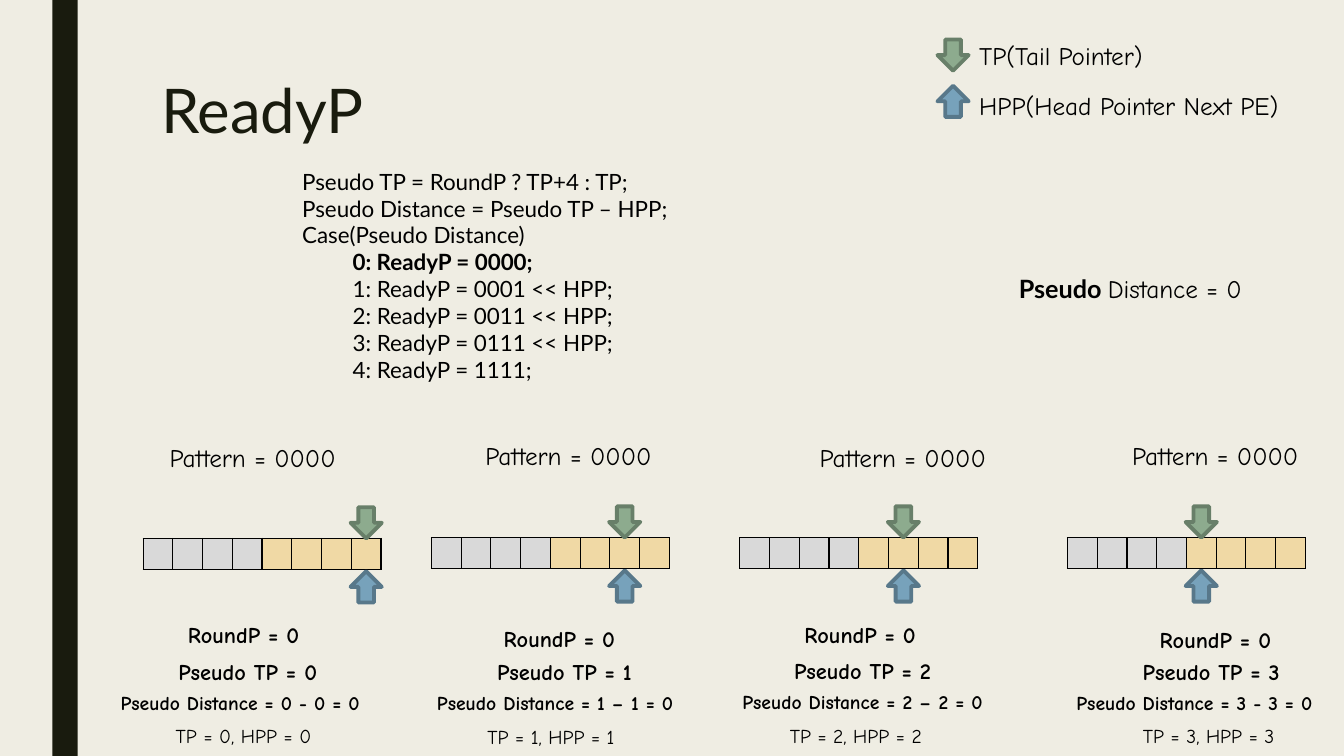
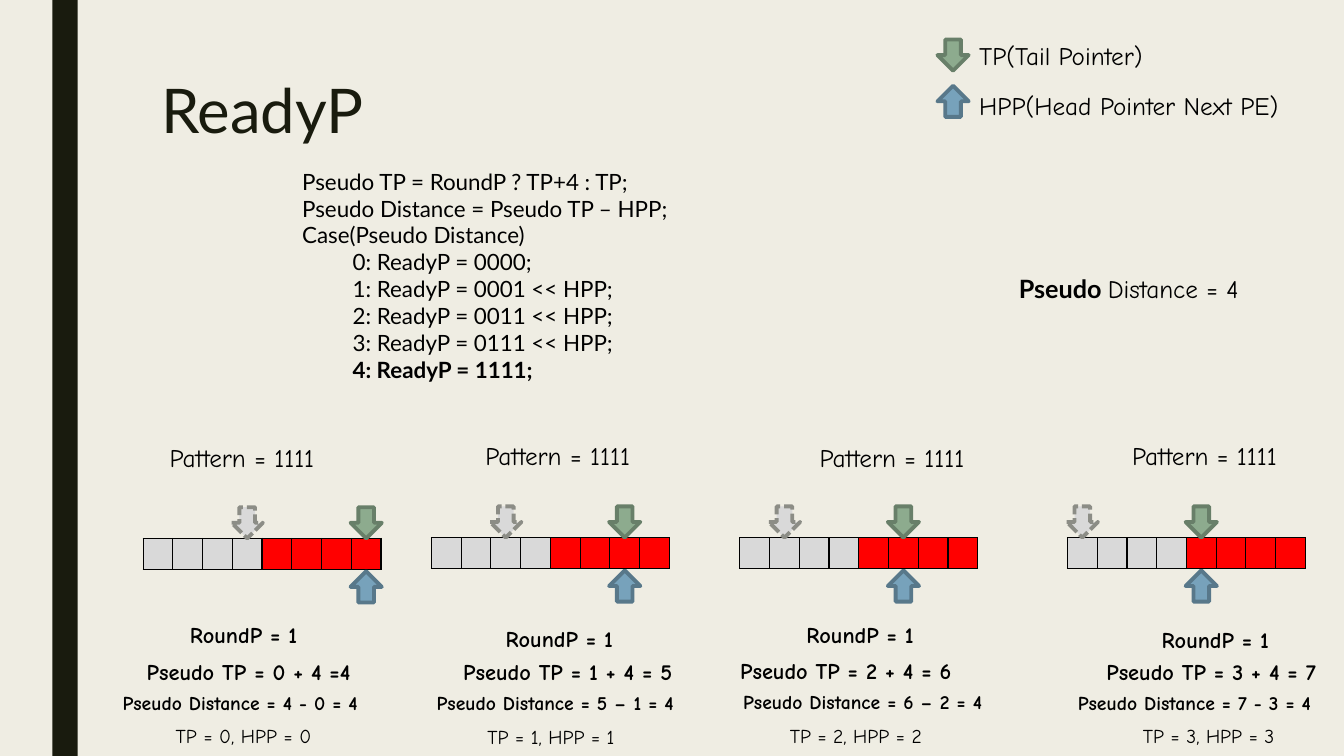
from lxml import etree
from pptx import Presentation
from pptx.dml.color import RGBColor
from pptx.enum.dml import MSO_LINE
from pptx.enum.shapes import MSO_SHAPE
from pptx.enum.text import PP_ALIGN
from pptx.oxml.ns import qn
from pptx.util import Inches, Pt

RECT = MSO_SHAPE.RECTANGLE
ARROW = MSO_SHAPE.DOWN_ARROW
DASH = MSO_LINE.SQUARE_DOT
LEFT = PP_ALIGN.LEFT
MID = PP_ALIGN.CENTER

PAPER = RGBColor(0xEF, 0xED, 0xE3)
INK = RGBColor(0x19, 0x1B, 0x0E)
BLACK = RGBColor(0, 0, 0)
GREY = RGBColor(0xD9, 0xD9, 0xD9)
SAND = RGBColor(0xF0, 0xD9, 0xA5)
RED = RGBColor(0xFF, 0, 0)
TAIL = RGBColor(0x8D, 0xAB, 0x8E), RGBColor(0x68, 0x7F, 0x69)
HEAD = RGBColor(0x77, 0xA2, 0xBB), RGBColor(0x58, 0x78, 0x8A)
GHOST = GREY, RGBColor(0x8C, 0x8D, 0x86)

SANS = "Lato"
HAND = "Comic Neue"
COLS, ROWS = 160, 90
CELL, TALL = 3.54, 3.7
SIZE = 3.72
HALF = 4

CODE = [
    "Pseudo TP = RoundP ? TP+4 : TP;",
    "Pseudo Distance = Pseudo TP – HPP;",
    "Case(Pseudo Distance)",
]
CASES = [
    "0: ReadyP = 0000;",
    "1: ReadyP = 0001 << HPP;",
    "2: ReadyP = 0011 << HPP;",
    "3: ReadyP = 0111 << HPP;",
    "4: ReadyP = 1111;",
]

QUEUES = [(17.04, 64.1), (51.36, 64), (88.08, 64), (127.08, 64)]
PATTERN = [(19, 52.1), (56.6, 51.8), (96.4, 52.1), (133.6, 51.8)]
ROUND = [(29, 73.3), (66.6, 73.8), (102.4, 73.4), (144.7, 73.9)]
GAP = [(28.6, 81.7), (66.1, 81.7), (102.7, 81.5), (142.2, 81.7)]
STATE = [(29, 85.6), (65.6, 85.7), (101.9, 85.6), (143.9, 85.6)]
PSEUDO = [77.8, 77.8, 77.6, 77.8]
SIGNS = "-––-"

STEPS = [
    dict(turn=0, bits="0000", fill=SAND, sums=["0", "1", "2", "3"],
         mids=[29.5, 67.2, 102.7, 144.2]),
    dict(turn=1, bits="1111", fill=RED,
         sums=["0 + 4 =4", "1 + 4 = 5", "2 + 4 = 6", "3 + 4 = 7"],
         mids=[29.6, 67.6, 100.7, 144.2]),
]


class Deck:
    def __init__(self):
        self.prs = Presentation()
        self.prs.slide_width = Inches(13.33)
        self.prs.slide_height = Inches(7.5)
        fill = self.prs.slide_master.background.fill
        fill.solid()
        fill.fore_color.rgb = PAPER

    def x(self, cols):
        return round(self.prs.slide_width * cols / COLS)

    def y(self, rows):
        return round(self.prs.slide_height * rows / ROWS)

    def box(self, left, top, width, height):
        return self.x(left), self.y(top), self.x(width), self.y(height)

    def page(self, title):
        self.slide = self.prs.slides.add_slide(self.prs.slide_layouts[6])
        self.shape(RECT, (6.24, 0, 3, ROWS), INK)
        para = self.text((18, 9, 126, 19.4), title, 44, SANS, color=INK)
        para.line_spacing = 0.89

    def shape(self, kind, area, fill):
        shape = self.slide.shapes.add_shape(kind, *self.box(*area))
        shape.shadow.inherit = False
        shape.fill.solid()
        shape.fill.fore_color.rgb = fill
        shape.line.fill.background()
        return shape

    def arrow(self, left, top, paint, turn=0, dash=None):
        fill, edge = paint
        arrow = self.shape(ARROW, (left, top, SIZE, SIZE), fill)
        arrow.rotation = turn
        arrow.line.color.rgb = edge
        arrow.line.width = Pt(2.75)
        if dash:
            arrow.line.dash_style = dash

    def frame(self, area, wrap=True):
        frame = self.slide.shapes.add_textbox(*self.box(*area)).text_frame
        frame.word_wrap = wrap
        return frame

    def style(self, font, size, name, bold=False, color=BLACK):
        font.size = Pt(size)
        font.name = name
        font.bold = bold
        font.color.rgb = color

    def text(self, area, text, size, name=HAND, bold=False, color=BLACK, align=LEFT):
        para = self.frame(area).paragraphs[0]
        para.text = text
        para.alignment = align
        self.style(para.font, size, name, bold, color)
        return para

    def label(self, spot, text, size, bold=True, width=30):
        mid, top = spot
        area = mid - width / 2, top, width, 4.2
        self.text(area, text, size, bold=bold, align=MID)

    def mixed(self, area, size, parts):
        para = self.frame(area, False).paragraphs[0]
        for text, name, bold in parts:
            run = para.add_run()
            run.text = text
            self.style(run.font, size, name, bold)

    def code(self, area, mark):
        frame = self.frame(area)
        for i, line in enumerate(CODE + CASES):
            para = frame.add_paragraph() if i else frame.paragraphs[0]
            para.text = line
            if line in CASES:
                para._p.get_or_add_pPr().set("marL", str(self.x(6)))
            self.style(para.font, 16, SANS, line == CASES[mark])

    def cells(self, left, top, fill):
        area = self.box(left, top, HALF * CELL, TALL)
        table = self.slide.shapes.add_table(1, HALF, *area).table
        table.first_row = table.horz_banding = False
        for col in table.columns:
            col.width = self.x(CELL)
        for cell in table.iter_cells():
            cell.margin_top = cell.margin_bottom = 0
            cell.text_frame.paragraphs[0].font.size = Pt(12)
            self.edges(cell)
            cell.fill.solid()
            cell.fill.fore_color.rgb = fill

    def edges(self, cell):
        props = cell._tc.get_or_add_tcPr()
        for side in ("lnL", "lnR", "lnT", "lnB"):
            line = etree.SubElement(props, qn("a:" + side), w=str(Pt(1)))
            solid = etree.SubElement(line, qn("a:solidFill"))
            etree.SubElement(solid, qn("a:srgbClr"), val=str(BLACK))

    def legend(self):
        self.arrow(111.6, 4.7, TAIL)
        self.arrow(111.6, 10.2, HEAD, 180)
        self.text((115.4, 4.2, 26, 4.8), "TP(Tail Pointer)", 18)
        self.text((115.4, 10.2, 42, 4.8), "HPP(Head Pointer Next PE)", 18)

    def queue(self, i, fill, turn):
        left, top = QUEUES[i]
        self.cells(left, top, GREY)
        self.cells(left + HALF * CELL, top, fill)
        slot = left + (2 * HALF - 1 - i) * CELL + (CELL - SIZE) / 2
        self.arrow(slot, top - SIZE, TAIL)
        self.arrow(slot, top + 3.9, HEAD, 180)
        if turn:
            self.arrow(slot - HALF * CELL, top - SIZE, GHOST, dash=DASH)

    def step(self, turn, bits, fill, sums, mids):
        gap = HALF * turn
        self.page("ReadyP")
        self.legend()
        self.code((34.8, 19.4, 80.6, 27.1), gap)
        self.mixed((120.1, 31.9, 30.2, 4.8), 18,
                   [("Pseudo ", SANS, True), (f"Distance = {gap}", HAND, False)])
        for i in range(len(QUEUES)):
            self.queue(i, fill, turn)
            self.text((*PATTERN[i], 24, 4.8), f"Pattern = {bits}", 18)
            self.label(ROUND[i], f"RoundP = {turn}", 16)
            self.label((mids[i], PSEUDO[i]), f"Pseudo TP = {sums[i]}", 16)
            self.label(GAP[i], f"Pseudo Distance = {i + gap} {SIGNS[i]} {i} = {gap}",
                       14, width=34)
            self.label(STATE[i], f"TP = {i}, HPP = {i}", 14, bold=False)


def main():
    deck = Deck()
    for step in STEPS:
        deck.step(**step)
    deck.prs.save("out.pptx")


if __name__ == "__main__":
    main()
